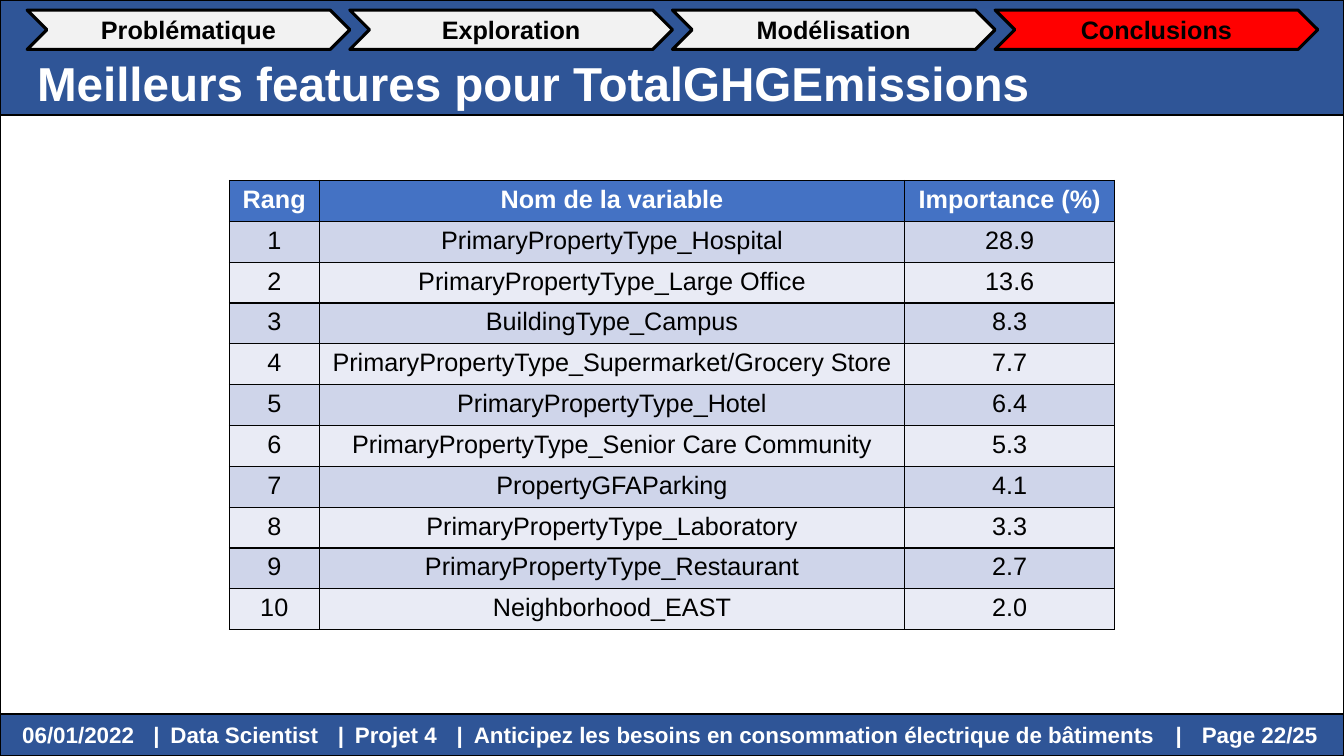
from lxml import etree
from pptx import Presentation
from pptx import util as u
from pptx.dml.color import RGBColor
from pptx.enum import shapes, text
from pptx.oxml import ns

WIDTH, HEIGHT = 13.33, 7.5
HEADER_BOTTOM, FOOTER_TOP = 1.14, 7.08
COLORS = {
    "navy": "2F5597", "white": "FFFFFF", "black": "000000",
    "step": "F2F2F2", "current": "FF0000",
    "table_head": "4472C4", "odd_row": "CFD5EA", "even_row": "E9EBF5",
}
STEPS = ["Problématique", "Exploration", "Modélisation", "Conclusions"]
CURRENT_STEP = "Conclusions"
FOOTER = ["06/01/2022", "Data Scientist", "Projet 4",
          "Anticipez les besoins en consommation électrique de bâtiments"]
FOOTER_LEFT, BAR_GAP = 0.22, 0.17
FOOTER_BARS = [1.52, 3.35, 4.53, 11.66]
COLUMNS = {"Rang": 0.89, "Nom de la variable": 5.81, "Importance (%)": 2.08}
FEATURES = [
    ("PrimaryPropertyType_Hospital", 28.9),
    ("PrimaryPropertyType_Large Office", 13.6),
    ("BuildingType_Campus", 8.3),
    ("PrimaryPropertyType_Supermarket/Grocery Store", 7.7),
    ("PrimaryPropertyType_Hotel", 6.4),
    ("PrimaryPropertyType_Senior Care Community", 5.3),
    ("PropertyGFAParking", 4.1),
    ("PrimaryPropertyType_Laboratory", 3.3),
    ("PrimaryPropertyType_Restaurant", 2.7),
    ("Neighborhood_EAST", 2.0),
]


def color(name):
    return RGBColor.from_string(COLORS[name])


def box(*lengths):
    return [u.Inches(length) for length in lengths]


def write(frame, words, size, ink, bold=True, align=text.PP_ALIGN.LEFT):
    frame.text = words
    paragraph = frame.paragraphs[0]
    paragraph.alignment = align
    for run in paragraph.runs:
        run.font.name = "Arial"
        run.font.size = u.Pt(size)
        run.font.bold = bold
        run.font.color.rgb = color(ink)
    return paragraph


def add_block(slide, kind, place, fill, line_width=0):
    shape = slide.shapes.add_shape(kind, *box(*place))
    shape.shadow.inherit = False
    shape.fill.solid()
    shape.fill.fore_color.rgb = color(fill)
    if line_width:
        shape.line.color.rgb = color("black")
        shape.line.width = u.Pt(line_width)
    else:
        shape.line.fill.background()
    return shape


def add_label(slide, place, words, size, margin_left=0.1):
    frame = slide.shapes.add_textbox(*box(*place)).text_frame
    frame.word_wrap = True
    frame.vertical_anchor = text.MSO_ANCHOR.MIDDLE
    frame.margin_left = u.Inches(margin_left)
    return write(frame, words, size, "white")


def set_tabs(paragraph, stops):
    properties = paragraph._p.get_or_add_pPr()
    tabs = etree.SubElement(properties, ns.qn("a:tabLst"))
    for stop in stops:
        etree.SubElement(tabs, ns.qn("a:tab"), pos=str(u.Inches(stop)), algn="l")


def add_bands(slide):
    rectangle = shapes.MSO_SHAPE.RECTANGLE
    add_block(slide, rectangle, (0, 0, WIDTH, HEIGHT), "navy")
    edges = [0, HEADER_BOTTOM, FOOTER_TOP, HEIGHT]
    for top, bottom, fill in zip(edges, edges[1:], ["navy", "white", "navy"]):
        add_block(slide, rectangle, (0, top, WIDTH, bottom - top), fill, 1.5)


def add_steps(slide, left=0.27, step_width=3.2):
    for index, step in enumerate(STEPS):
        fill = "current" if step == CURRENT_STEP else "step"
        place = (left + index * step_width, 0.1, step_width, 0.39)
        shape = add_block(slide, shapes.MSO_SHAPE.CHEVRON, place, fill, 2.25)
        frame = shape.text_frame
        frame.margin_top = frame.margin_bottom = 0
        frame.vertical_anchor = text.MSO_ANCHOR.MIDDLE
        write(frame, step, 18, "black", align=text.PP_ALIGN.CENTER)


def add_footer(slide):
    height = HEIGHT - FOOTER_TOP
    words = "\t|\t".join(FOOTER) + "\t|"
    paragraph = add_label(slide, (0, FOOTER_TOP, 12.09, height), words, 16, FOOTER_LEFT)
    set_tabs(paragraph, [bar - FOOTER_LEFT + gap
                         for bar in FOOTER_BARS for gap in (0, BAR_GAP)])
    add_label(slide, (11.52, FOOTER_TOP, 1.81, height), "Page 22/25", 16, 0.4)


def border_cell(cell):
    properties = cell._tc.get_or_add_tcPr()
    for index, side in enumerate(("lnL", "lnR", "lnT", "lnB")):
        line = etree.Element(ns.qn(f"a:{side}"), w=str(u.Pt(1)))
        fill = etree.SubElement(line, ns.qn("a:solidFill"))
        etree.SubElement(fill, ns.qn("a:srgbClr"), val=COLORS["black"])
        properties.insert(index, line)


def add_feature_table(slide):
    rows = [tuple(COLUMNS)]
    rows += [(rank, name, share) for rank, (name, share) in enumerate(FEATURES, 1)]
    width = sum(COLUMNS.values())
    place = box((WIDTH - width) / 2, 1.79, width, 4.46)
    table = slide.shapes.add_table(len(rows), len(COLUMNS), *place).table
    for column, column_width in zip(table.columns, COLUMNS.values()):
        column.width = u.Inches(column_width)
    for row, values in enumerate(rows):
        head = row == 0
        fill = "table_head" if head else "odd_row" if row % 2 else "even_row"
        for column, value in enumerate(values):
            cell = table.cell(row, column)
            cell.fill.solid()
            cell.fill.fore_color.rgb = color(fill)
            border_cell(cell)
            write(cell.text_frame, str(value), 18, "white" if head else "black",
                  bold=head, align=text.PP_ALIGN.CENTER)


def main():
    presentation = Presentation()
    presentation.slide_width, presentation.slide_height = box(WIDTH, HEIGHT)
    slide = presentation.slides.add_slide(presentation.slide_layouts[6])

    # Page frame
    add_bands(slide)
    add_footer(slide)

    # Heading and progress
    add_label(slide, (0.27, 0.34, 11.5, 0.95), "Meilleurs features pour TotalGHGEmissions", 34)
    add_steps(slide)

    # Feature ranking
    add_feature_table(slide)
    presentation.save("out.pptx")


if __name__ == "__main__":
    main()
